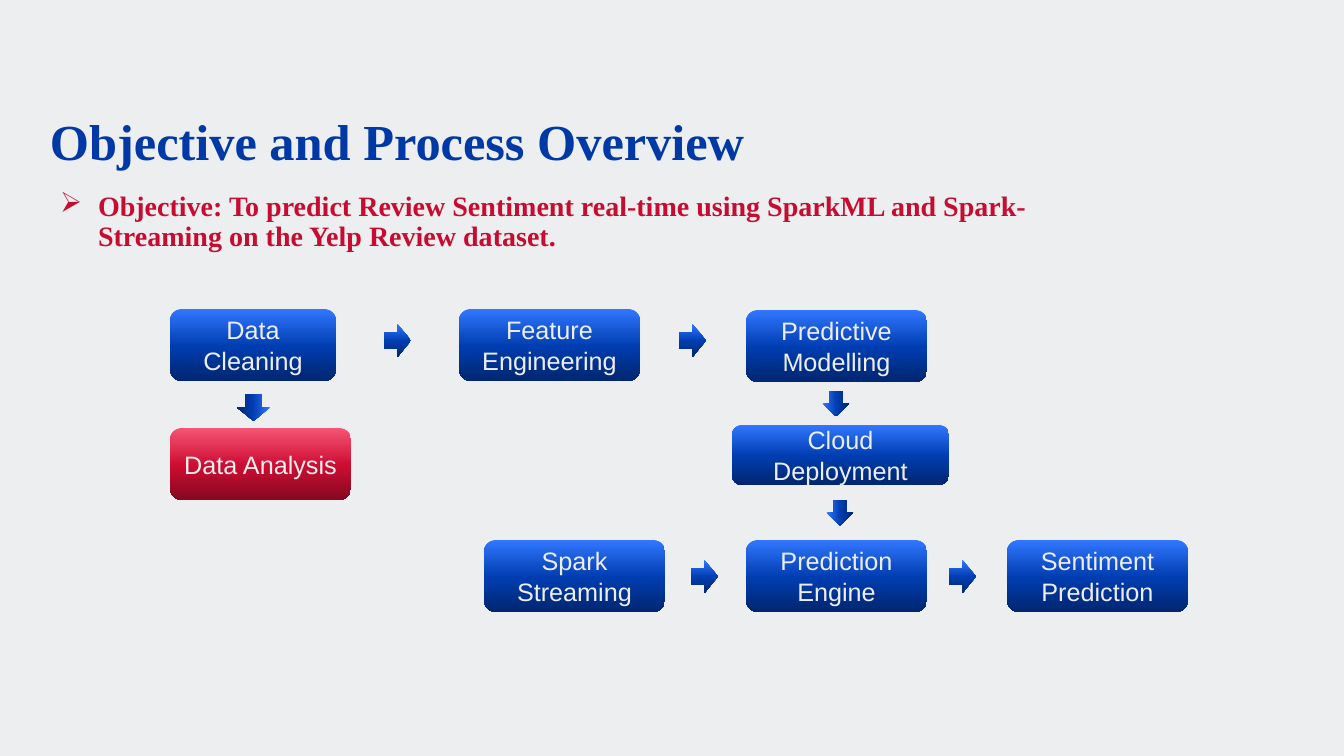
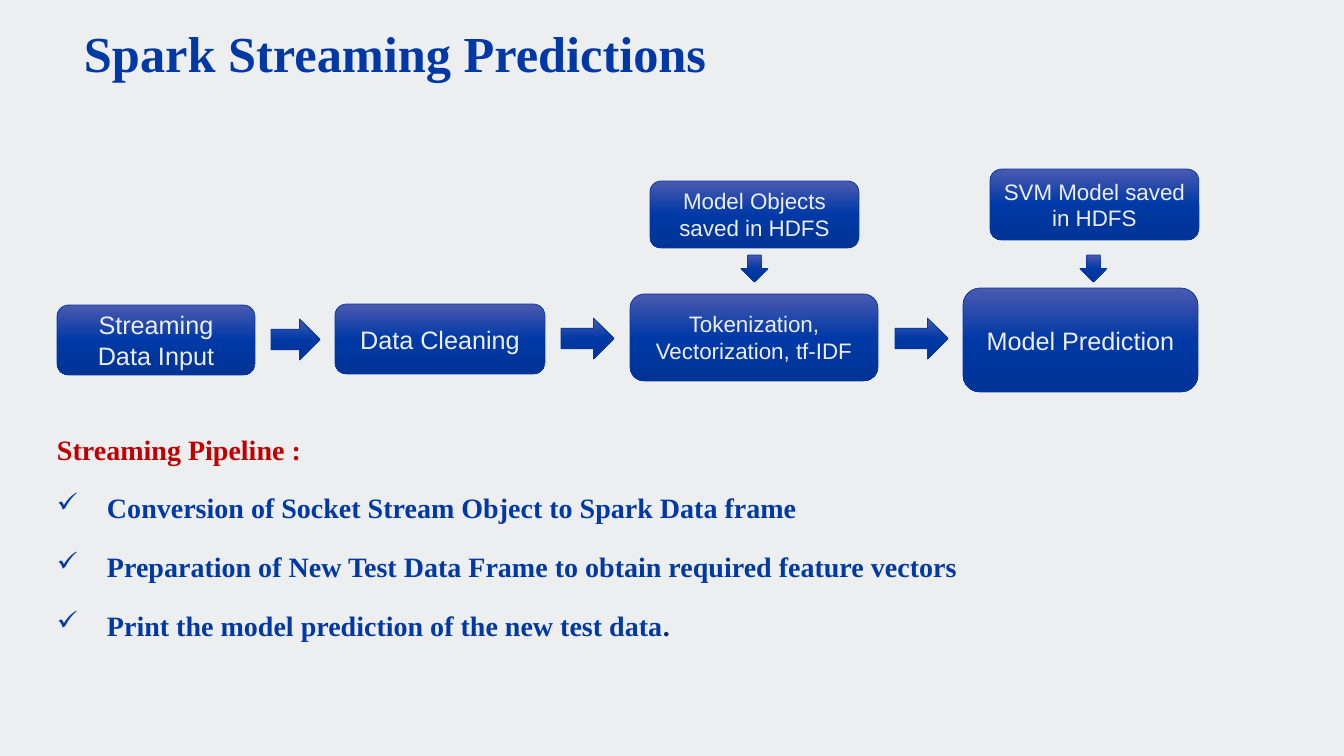
from lxml import etree
from pptx import Presentation
from pptx import util as u
from pptx.dml.color import RGBColor
from pptx.enum import shapes, text
from pptx.oxml import ns

PX = 914400 / 100.8  # EMU in one px


class Theme:
    back = "EDEEEF"
    blue = "0039A6"
    navy = "002B7D"
    red = "C60C30"
    dark = "C00000"
    serif = "Times New Roman"
    sans = "Arial"
    head, body, label, small = 36, 20, 18, 16
    # Gradient stops from top to bottom, then the outline colour
    glow = ([(0, "3177FF"), (52, "003DB0"), (100, "00266F")], None)
    alert = ([(0, "F55574"), (52, "CE0D32"), (100, "850820")], None)
    deep = ([(0, "4B5AB0"), (50, "0039A6"), (100, "003394")], "0039A6")


Kind = shapes.MSO_SHAPE


def write(slide, box, size, paras, inset=(0, 0), lead=1.0, gap=0):
    """Add a serif text box; each paragraph is (runs, bullet, bullet size, indent)."""
    frame = slide.shapes.add_textbox(*[u.Emu(round(n * PX)) for n in box]).text_frame
    frame.word_wrap = True
    frame.margin_left = frame.margin_right = round(inset[0] * PX)
    frame.margin_top = frame.margin_bottom = round(inset[1] * PX)
    for i, (runs, mark, scale, indent) in enumerate(paras):
        para = frame.add_paragraph() if i else frame.paragraphs[0]
        if mark:
            props = para._p.get_or_add_pPr()
            props.set("marL", str(round(indent * PX)))
            props.set("indent", str(-round(indent * PX)))
            etree.SubElement(props, ns.qn("a:buSzPct"), val=str(scale * 1000))
            etree.SubElement(props, ns.qn("a:buChar"), char=mark)
        para.line_spacing = lead
        if i:
            para.space_before = u.Pt(gap)
        for words, tint in runs:
            run = para.add_run()
            run.text = words
            run.font.name, run.font.size, run.font.bold = Theme.serif, u.Pt(size), True
            run.font.color.rgb = RGBColor.from_string(tint)


def block(slide, kind, box, look, words="", size=Theme.label, turn=0):
    """Add a gradient shape, with a centred label if there are words."""
    stops, edge = look
    shape = slide.shapes.add_shape(kind, *[u.Emu(round(n * PX)) for n in box])
    shape.shadow.inherit = False
    shape.rotation = turn
    shape.fill.gradient()
    shape.fill.gradient_angle = 270
    chain = shape._element.spPr.find(ns.qn("a:gradFill")).find(ns.qn("a:gsLst"))
    for stop in list(chain):
        chain.remove(stop)
    for place, tint in stops:
        stop = etree.SubElement(chain, ns.qn("a:gs"), pos=str(place * 1000))
        etree.SubElement(stop, ns.qn("a:srgbClr"), val=tint)
    if edge:
        shape.line.color.rgb = RGBColor.from_string(edge)
        shape.line.width = u.Pt(0.5)
    else:
        shape.line.fill.background()
    if words:
        frame = shape.text_frame
        frame.word_wrap = True
        frame.vertical_anchor = text.MSO_ANCHOR.MIDDLE
        para = frame.paragraphs[0]
        para.alignment = text.PP_ALIGN.CENTER
        run = para.add_run()
        run.text = words
        run.font.name, run.font.size = Theme.sans, u.Pt(size)
        run.font.color.rgb = RGBColor.from_string(Theme.back)


# Deck: size, shared background and titles
deck = Presentation()
deck.slide_width, deck.slide_height = round(1344 * PX), round(756 * PX)
fill = deck.slide_master.background.fill
fill.solid()
fill.fore_color.rgb = RGBColor.from_string(Theme.back)

pages = []
for left, top, title in [
    (50, 117, "Objective and Process Overview"),
    (84, 29, "Spark Streaming Predictions"),
]:
    page = deck.slides.add_slide(deck.slide_layouts[6])
    write(page, (left, top, 1260, 52), Theme.head,
          [([(title, Theme.blue)], None, 100, 0)], lead=0.9)
    pages.append(page)
plan, flow = pages

# Slide 1: objective
goal = ("Objective: To predict Review Sentiment real-time using SparkML and "
        "Spark-Streaming on the Yelp Review dataset.")
write(plan, (50, 187, 1039, 105), Theme.body,
      [([(goal, Theme.red)], "➢", 100, 38)], inset=(10, 5), lead=0.9)

# Slide 1: process steps
for left, top, wide, high, look, words in [
    (170, 309, 166, 72, Theme.glow, "Data Cleaning"),
    (459, 309, 181, 72, Theme.glow, "Feature Engineering"),
    (746, 310, 181, 72, Theme.glow, "Predictive Modelling"),
    (170, 428, 181, 72, Theme.alert, "Data Analysis"),
    (732, 425, 217, 60, Theme.glow, "Cloud Deployment"),
    (484, 540, 181, 72, Theme.glow, "Spark Streaming"),
    (746, 540, 181, 72, Theme.glow, "Prediction Engine"),
    (1007, 540, 181, 72, Theme.glow, "Sentiment Prediction"),
]:
    block(plan, Kind.ROUNDED_RECTANGLE, (left, top, wide, high), look, words)

# Slide 1: arrows across, then down
for left, top in [(384, 324), (679, 324), (691, 560), (949, 560)]:
    block(plan, Kind.RIGHT_ARROW, (left, top, 27, 33), Theme.glow)
block(plan, Kind.RIGHT_ARROW, (240, 391, 27, 33), Theme.glow, turn=90)
for left, top in [(823, 390), (827, 499)]:
    block(plan, Kind.LEFT_ARROW, (left, top, 26, 27), Theme.glow, turn=270)

# Slide 2: pipeline steps
for left, top, wide, high, size, words in [
    (57, 305, 198, 70, Theme.label, "Streaming Data Input"),
    (335, 304, 210, 70, Theme.label, "Data Cleaning"),
    (630, 294, 248, 87, Theme.small, "Tokenization, Vectorization, tf-IDF"),
    (963, 288, 235, 104, Theme.label, "Model Prediction"),
    (650, 181, 209, 67, Theme.small, "Model Objects saved in HDFS"),
    (990, 169, 209, 71, Theme.small, "SVM Model saved in HDFS"),
]:
    block(flow, Kind.ROUNDED_RECTANGLE, (left, top, wide, high), Theme.deep, words, size)

# Slide 2: arrows across, then down
for left, top, wide in [(271, 319, 49), (561, 318, 53), (895, 318, 53)]:
    block(flow, Kind.RIGHT_ARROW, (left, top, wide, 41), Theme.deep)
for left in (741, 1080):
    block(flow, Kind.DOWN_ARROW, (left, 255, 27, 27), Theme.deep)

# Slide 2: pipeline notes
notes = [([("Streaming Pipeline :", Theme.dark)], None, 100, 0)]
for runs in [
    [("Conversion of Socket Stream Object to Spark Data frame", Theme.blue)],
    [("Preparation of New Test Data Frame to obtain required feature vectors", Theme.blue)],
    [("Print the model prediction of the new test data", Theme.blue), (".", Theme.navy)],
]:
    notes.append((runs, "✓", 95, 50))
write(flow, (57, 432, 1064, 241), Theme.body, notes, gap=18)

deck.save("out.pptx")
